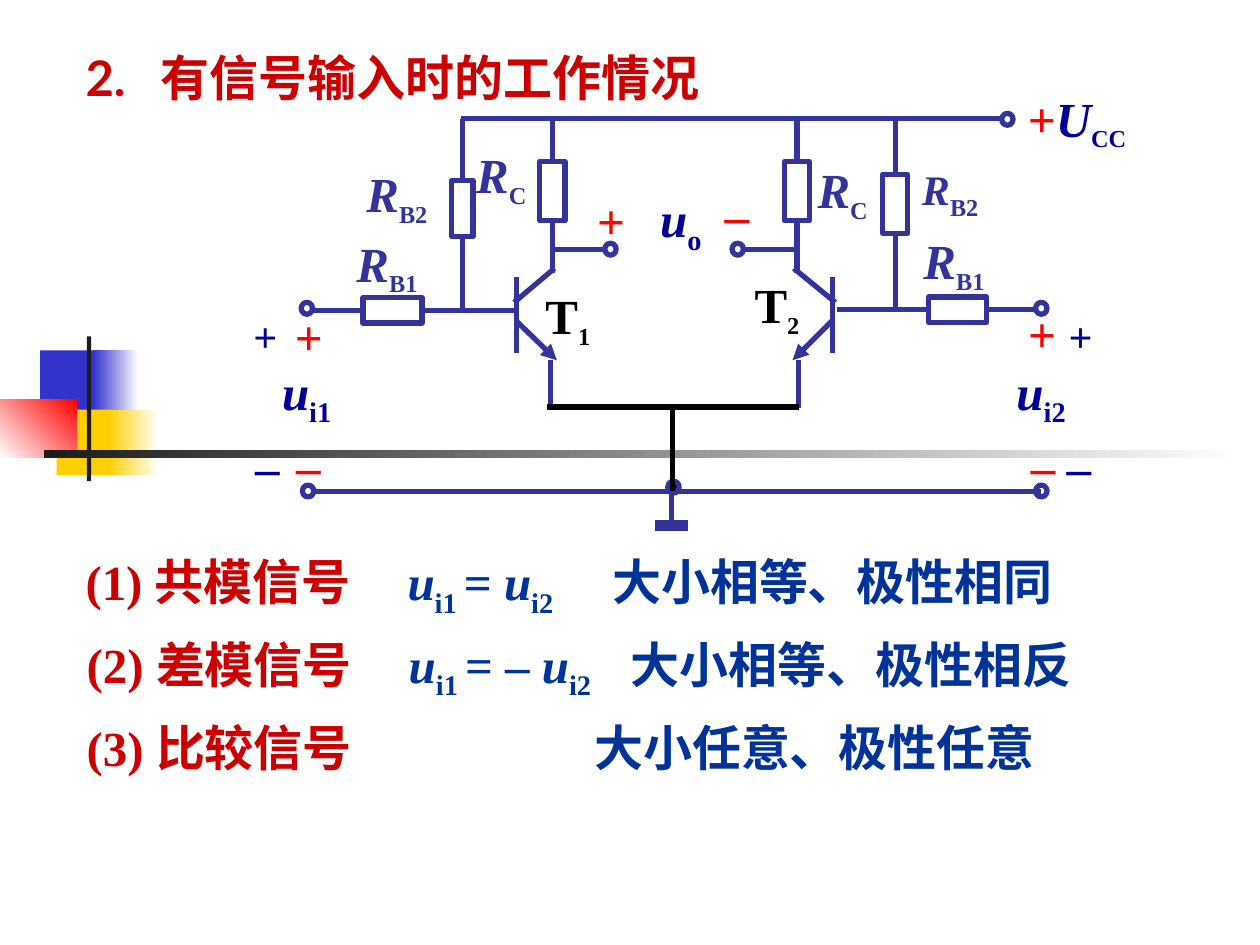
import pptx
import pptx.dml.color
import pptx.enum.shapes
import pptx.enum.text
import pptx.oxml.ns
import pptx.util
from lxml import etree

Pt = pptx.util.Pt
Kind = pptx.enum.shapes.MSO_SHAPE
Text = pptx.enum.text
rgb = pptx.dml.color.RGBColor.from_string


class Theme:
    wire, black, red, navy = "333399", "000000", "FF0000", "000099"
    title, body = "CC0000", "003399"
    white, dark, blue, gold = "FFFFFF", "1C1C1C", "3333CC", "FFCF01"
    serif, sans = "Times New Roman", "Lato"
    big, small = 28, 24
    line, thick = 3, 6


deck = pptx.Presentation()
deck.slide_width, deck.slide_height = Pt(720), Pt(540)
slide = deck.slides.add_slide(deck.slide_layouts[6])
shapes = slide.shapes


def write(box, runs, face=Theme.serif, tabs=(), mark=False):
    """Add bold text; runs are (words, colour, size, style), style i italic or s subscript."""
    item = shapes.add_textbox(*map(Pt, box))
    frame = item.text_frame
    frame.word_wrap = not mark
    frame.auto_size = Text.MSO_AUTO_SIZE.SHAPE_TO_FIT_TEXT
    para = frame.paragraphs[0]
    if mark:
        para.alignment = Text.PP_ALIGN.CENTER
    if tabs:
        stops = etree.SubElement(para._p.get_or_add_pPr(), pptx.oxml.ns.qn("a:tabLst"))
        for stop in tabs:
            etree.SubElement(stops, pptx.oxml.ns.qn("a:tab"), pos=str(Pt(stop)), algn="l")
    hue, size = runs[0][1:3]
    para.font.name, para.font.bold = face, True
    para.font.size, para.font.color.rgb = Pt(size), rgb(hue)
    for words, tint, height, style in runs:
        run = para.add_run()
        run.text = words
        if tint != hue:
            run.font.color.rgb = rgb(tint)
        if height != size:
            run.font.size = Pt(height)
        if style == "i":
            run.font.italic = True
        if style == "s":
            run._r.get_or_add_rPr().set("baseline", "-25000")


def wire(start, end, hue=Theme.wire, width=Theme.line, arrow=False):
    """Draw a line; an end is a point or (resistor name, side)."""
    item = shapes.add_connector(pptx.enum.shapes.MSO_CONNECTOR.STRAIGHT, 0, 0, 0, 0)
    item.begin_x, item.begin_y, item.end_x, item.end_y = [
        Pt(0 if isinstance(v, str) else v) for v in (*start, *end)]
    for spot, join in ((start, item.begin_connect), (end, item.end_connect)):
        if isinstance(spot[0], str):
            join(parts[spot[0]], spot[1])
    item.line.color.rgb, item.line.width = rgb(hue), Pt(width)
    if arrow:
        etree.SubElement(item.line._get_or_add_ln(), pptx.oxml.ns.qn("a:tailEnd"), type="triangle")
    etree.SubElement(item._element.spPr, pptx.oxml.ns.qn("a:effectLst"))


# Corner ornament: box, colours from first to last stop, angle
for box, hues, angle in (
    ((23, 200.2, 34.6, 37.4), (Theme.blue,), 0),
    ((53.3, 200.2, 25.9, 37.4), (Theme.white, Theme.blue), 180),
    ((32.4, 234, 33.1, 37.4), (Theme.gold,), 0),
    ((61.9, 234, 28.8, 37.4), (Theme.white, Theme.gold), 180),
    ((0, 228.2, 43.9, 33.1), (Theme.red, Theme.white), 225),
    ((49.7, 192.2, 2.5, 82.8), (Theme.dark,), 0),
    ((25.2, 257, 684.7, 4.6), (Theme.white, Theme.dark), 180),
):
    block = shapes.add_shape(Kind.RECTANGLE, *map(Pt, box))
    block.shadow.inherit = False
    block.line.fill.background()
    if len(hues) == 1:
        block.fill.solid()
        block.fill.fore_color.rgb = rgb(hues[0])
    else:
        block.fill.gradient()
        block.fill.gradient_angle = angle
        for stop, hue in zip(block.fill.gradient_stops, hues):
            stop.color.rgb = rgb(hue)

write((41.8, 23.8, 437.8, 41.8),
      [("2.\t有信号输入时的工作情况", Theme.title, Theme.big, "")], Theme.sans, [43])

# Resistors and terminals
parts = {}
spots = {
    "left B2": (258.1, 103.2, 12.2, 31.8), "right B2": (504.4, 99.7, 14.4, 33.8),
    "left C": (308.5, 92.4, 14.4, 33.8), "right C": (448.2, 92.4, 14.4, 33.8),
    "left B1": (207.4, 170.2, 33.8, 14.4), "right B1": (530.6, 169.8, 33.2, 14.4),
}
rings = [(572.4, 64.8), (172.1, 172.8), (591.8, 172.8), (345.6, 139), (418.3, 139),
         (172.8, 277.2), (591.8, 277.2), (381.6, 275)]
rows = [(Kind.RECTANGLE, name, box) for name, box in spots.items()]
rows += [(Kind.OVAL, spot, (*spot, 6.5, 6.8)) for spot in rings]
for kind, name, box in rows:
    part = parts[name] = shapes.add_shape(kind, *map(Pt, box))
    part.shadow.inherit = False
    part.fill.background()
    part.line.color.rgb, part.line.width = rgb(Theme.wire), Pt(Theme.line)
node = parts[rings[-1]]
node.fill.solid()
node.fill.fore_color.rgb = rgb(Theme.black)

# Supply rail and the resistors that hang from it
rail, base = 67.9, 177.4
wire((263.5, rail), (573.1, rail))
for name, mid, foot in (("left B2", 264.2, 178.2), ("right B2", 511.6, 177.8),
                        ("left C", 315.7, 156.2), ("right C", 455.4, 156.2)):
    wire((mid, rail), (name, 0))
    wire((name, 2), (mid, foot))

# Inputs, outputs, emitters and ground
for start, end in (
    (("left B1", 3), (295.2, base)), ((178.2, base), ("left B1", 1)),
    ((478.1, 177), ("right B1", 1)), (("right B1", 3), (592.4, 177)),
    ((314.6, 142.6), (345.6, 142.6)), ((456.5, 142.6), (424.8, 142.6)),
    ((295.2, 158.4), (295.2, 201.6)), ((475.9, 158.4), (475.9, 201.6)),
    ((293.8, 172.8), (316.8, 153.4)), ((477.4, 172.8), (453.6, 153.4)),
    ((314.6, 205.9), (314.6, 233.3)), ((456.5, 205.9), (456.5, 233.3)),
    ((177.8, 280.8), (594.7, 280.8)), ((383.8, 280.8), (383.8, 300.2)),
):
    wire(start, end)
wire((295.2, 183.6), (318.2, 205.9), arrow=True)
wire((475.2, 183.6), (452.9, 205.9), arrow=True)
wire((374.4, 300.2), (393.1, 300.2), width=Theme.thick)
wire((312.5, 232.6), (456.5, 232.6), Theme.black)
wire((384.5, 280.8), (384.5, 232.6), Theme.black)

# Labels: place, letter, subscript, colour, sizes
big, small = Theme.big, Theme.small
write((580.3, 46.8, 79.9, 43.9), [("+", Theme.red, big, ""), ("U", Theme.navy, big, "i"),
                                  ("CC", Theme.navy, small, "s")])
for left, top, wide, head, sub, hue, size, low in (
    (370.1, 104.4, 58.3, "u", "o", Theme.navy, big, big),
    (154.1, 203, 47.5, "u", "i1", Theme.navy, big, big),
    (573.8, 203, 45.4, "u", "i2", Theme.navy, big, big),
    (265, 79.2, 69.8, "R", "C", Theme.wire, big, small),
    (460.1, 87.8, 69.8, "R", "C", Theme.wire, big, small),
    (202.3, 90, 82.1, "R", "B2", Theme.wire, big, small),
    (519.8, 90, 67, "R", "B2", Theme.wire, small, small),
    (196.6, 129.6, 58.3, "R", "B1", Theme.wire, big, small),
    (520.6, 128.2, 66.2, "R", "B1", Theme.wire, big, small),
    (304.6, 159.8, 63.4, "T", "1", Theme.black, big, small),
    (424.1, 153.4, 72, "T", "2", Theme.black, big, small),
):
    style = "" if head == "T" else "i"
    write((left, top, wide, 43.9), [(head, hue, size, style), (sub, hue, low, "s")])

# Polarity marks
for sign, hue, size, wide, places in (
    ("+", Theme.red, big, 30.2, ((334.1, 105.1), (161.3, 171.4), (580.3, 169.9))),
    ("–", Theme.red, big, 28.4, ((406.8, 102.2), (162, 245.5), (581.8, 245.5))),
    ("+", Theme.navy, small, 28.1, ((137.5, 174.2), (603.4, 174.2))),
    ("–", Theme.navy, big, 28.4, ((138.6, 246.2), (602.3, 246.2))),
):
    for left, top in places:
        write((left, top, wide, 41 if size == big else 36), [(sign, hue, size, "")], mark=True)

# Signal types: heading, relation, remark, tab stops
for row, (left, head, sign, note, tabs) in enumerate((
    (41.8, "(1) 共模信号", "= ", "大小相等、极性相同", (184, 301)),
    (42.5, "(2) 差模信号", "= – ", "大小相等、极性相反", (184, 311)),
    (42.5, "(3) 比较信号", "", "大小任意、极性任意", (290,)),
)):
    body = (Theme.body, big)
    runs = [(head + "\t", Theme.title, big, "")]
    if sign:
        runs += [("u", *body, "i"), ("i1 ", *body, "s"), (sign, *body, ""),
                 ("u", *body, "i"), ("i2", *body, "s"), ("\t", *body, "")]
    write((left, 311.8 + 47.2 * row, 624.2, 45.4), runs + [(note, *body, "")], tabs=tabs)

deck.save("out.pptx")
